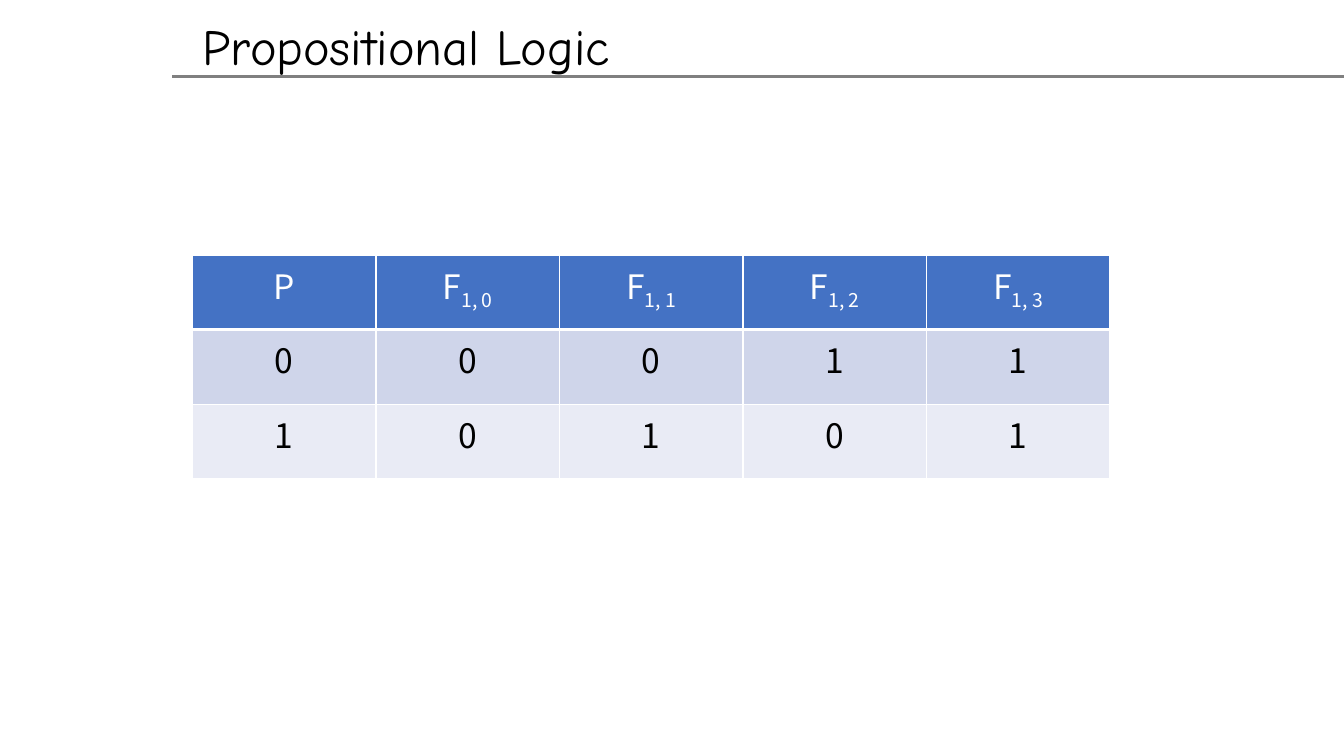
"""Build the propositional logic truth table slide."""
import lxml.etree
import pptx
import pptx.dml.color
import pptx.enum.shapes
import pptx.enum.text
import pptx.oxml.ns
import pptx.util

Inches = pptx.util.Inches
Pt = pptx.util.Pt
ALIGN = pptx.enum.text.PP_ALIGN
qn = pptx.oxml.ns.qn

TITLE = "Propositional Logic"
HEAD = [("P", ""), ("F", "1, 0"), ("F", "1, 1"), ("F", "1, 2"), ("F", "1, 3")]
ROWS = ["00011", "10101"]
FILLS = ["4472C4", "CFD5EA", "E9EBF5"]
GRAY, BLACK, WHITE = "808080", "000000", "FFFFFF"


def color(code):
    return pptx.dml.color.RGBColor.from_string(code)


def add_run(para, text, face, size, code):
    run = para.add_run()
    run.text = text
    font = run.font
    font.name, font.size, font.bold = face, Pt(size), False
    font.color.rgb = color(code)
    return run


def add_edges(cell, base):
    props = cell._tc.get_or_add_tcPr()
    for side in "LRTB":
        width = Pt(base if side == "B" else 1)
        line = lxml.etree.SubElement(props, qn("a:ln" + side), w=str(width))
        fill = lxml.etree.SubElement(line, qn("a:solidFill"))
        lxml.etree.SubElement(fill, qn("a:srgbClr"), val=WHITE)


def add_rule(slide):
    rule = slide.shapes.add_connector(
        pptx.enum.shapes.MSO_CONNECTOR.STRAIGHT,
        Inches(1.71), Inches(0.76), Inches(13.33), Inches(0.76))
    rule.line.color.rgb = color(GRAY)
    rule.line.width = Pt(2)
    lxml.etree.SubElement(rule._element.spPr, qn("a:effectLst"))


def set_title(slide):
    title = slide.shapes.title
    title.left, title.top = Inches(1.91), Inches(0.1)
    title.width, title.height = Inches(6.3), Inches(0.71)
    frame = title.text_frame
    frame.vertical_anchor = pptx.enum.text.MSO_ANCHOR.TOP
    frame.auto_size = pptx.enum.text.MSO_AUTO_SIZE.NONE
    para = frame.paragraphs[0]
    para.alignment = ALIGN.LEFT
    add_run(para, TITLE, "Comic Neue", 36, BLACK)


def add_truth(slide):
    grid = [HEAD] + [[(bit, "") for bit in row] for row in ROWS]
    wide, high = 1.82, 0.74
    table = slide.shapes.add_table(
        len(grid), len(HEAD), Inches(1.91), Inches(2.53),
        Inches(wide * len(HEAD)), Inches(high * len(grid))).table
    for y, row in enumerate(grid):
        table.rows[y].height = Inches(high)
        for x, (main, sub) in enumerate(row):
            cell = table.cell(y, x)
            add_edges(cell, 1 if y else 3)
            cell.fill.solid()
            cell.fill.fore_color.rgb = color(FILLS[y])
            para = cell.text_frame.paragraphs[0]
            para.alignment = ALIGN.CENTER
            ink = BLACK if y else WHITE
            add_run(para, main, "Noto Sans CJK SC", 24, ink)
            if sub:
                run = add_run(para, sub, "Noto Sans CJK SC", 24, ink)
                run.font._element.set("baseline", "-25000")


def main():
    deck = pptx.Presentation()
    deck.slide_width, deck.slide_height = Inches(13.33), Inches(7.5)
    slide = deck.slides.add_slide(deck.slide_layouts[5])
    add_rule(slide)
    set_title(slide)
    add_truth(slide)
    deck.save("out.pptx")


if __name__ == "__main__":
    main()
